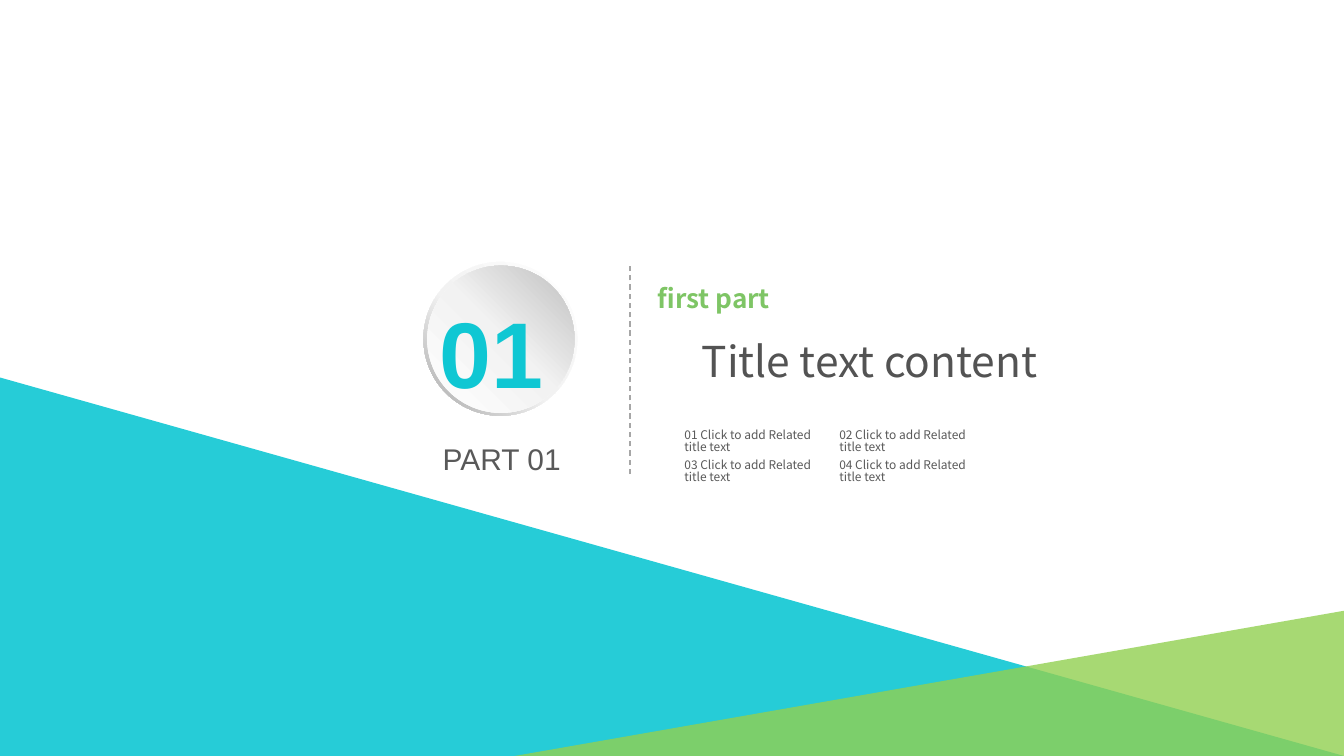
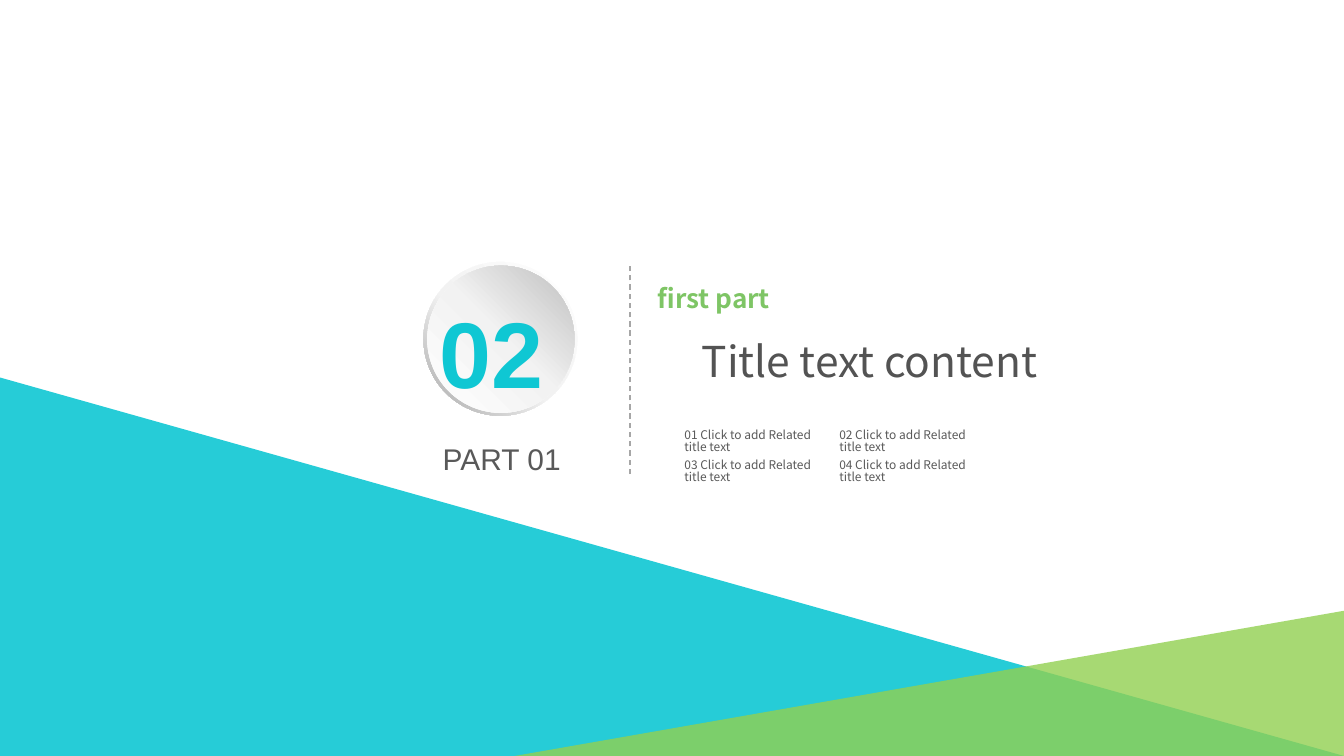
import pptx
import pptx.dml.color
import pptx.enum.dml
import pptx.enum.shapes
import pptx.enum.text
import pptx.oxml.ns
import pptx.util
from lxml import etree

Inches = pptx.util.Inches
WIDTH, HEIGHT = 14.06, 7.91
LATIN, BODY = "Arial", "Noto Sans CJK SC"
CYAN, LIME, GREEN = "0FC7D3", "92D050", "7EC565"
DARK, GREY, RULE = "535353", "595959", "A6A6A6"


def rgb(value):
    return pptx.dml.color.RGBColor.from_string(value)


def add_xml(parent, tag, **attributes):
    return etree.SubElement(parent, pptx.oxml.ns.qn(tag), attributes)


def write_text(shape, text, size, font, color, bold=False, insets=(0, 0), spacing=1.0):
    frame = shape.text_frame
    frame.word_wrap = True
    frame.auto_size = pptx.enum.text.MSO_AUTO_SIZE.NONE
    frame.vertical_anchor = pptx.enum.text.MSO_ANCHOR.TOP
    frame.margin_left = frame.margin_right = Inches(insets[0])
    frame.margin_top = frame.margin_bottom = Inches(insets[1])
    paragraph = frame.paragraphs[0]
    paragraph.alignment = pptx.enum.text.PP_ALIGN.LEFT
    paragraph.line_spacing = spacing
    run = paragraph.add_run()
    run.text = text
    run.font.size = pptx.util.Pt(size)
    run.font.name = font
    run.font.bold = bold
    run.font.color.rgb = rgb(color)


def add_text(slide, box, text, size, font, color, **style):
    shape = slide.shapes.add_textbox(*map(Inches, box))
    write_text(shape, text, size, font, color, **style)


def set_title(slide, box, text):
    title = slide.shapes.title
    title.left, title.top, title.width, title.height = map(Inches, box)
    write_text(title, text, 32, BODY, DARK)


def add_triangle(slide, corners, color, opacity):
    points = [(Inches(x), Inches(y)) for x, y in corners]
    builder = slide.shapes.build_freeform(*points[0])
    builder.add_line_segments(points[1:], close=True)
    shape = builder.convert_to_shape()
    shape.shadow.inherit = False
    shape.line.fill.background()
    shape.fill.solid()
    shape.fill.fore_color.rgb = rgb(color)
    color_element = shape._element.spPr.find(".//" + pptx.oxml.ns.qn("a:srgbClr"))
    add_xml(color_element, "a:alpha", val=str(opacity * 1000))


def add_gradient_shape(group, kind, left, top, size, stops, angle):
    shape = group.shapes.add_shape(kind, *map(Inches, (left, top, size, size)))
    shape.shadow.inherit = False
    shape.line.fill.background()
    shape.fill.gradient()
    shape.fill.gradient_angle = angle
    stop_list = shape._element.spPr.find(".//" + pptx.oxml.ns.qn("a:gsLst"))
    for stop in list(stop_list):
        stop_list.remove(stop)
    for position, color in stops:
        stop = add_xml(stop_list, "a:gs", pos=str(position * 1000))
        add_xml(stop, "a:srgbClr", val=color)
    return shape


def add_badge(slide, number):
    kinds = pptx.enum.shapes.MSO_SHAPE
    group = slide.shapes.add_group_shape()
    ring = add_gradient_shape(group, kinds.DONUT, 4.43, 2.74, 1.61,
                              [(0, "FFFFFF"), (55, "F2F2F2"), (100, "A6A6A6")], 225)
    ring.adjustments[0] = 0.05
    add_gradient_shape(group, kinds.OVAL, 4.47, 2.78, 1.54,
                       [(0, "FFFFFF"), (51, "F2F2F2"), (100, "BFBFBF")], 45)
    add_text(slide, (4.6, 3.09, 1.39, 1.18), number, 70.3, LATIN, CYAN, bold=True)


def add_divider(slide, x, top, bottom):
    line = slide.shapes.add_connector(pptx.enum.shapes.MSO_CONNECTOR.STRAIGHT,
                                      *map(Inches, (x, bottom, x, top)))
    line.line.color.rgb = rgb(RULE)
    line.line.width = pptx.util.Pt(1)
    line.line.dash_style = pptx.enum.dml.MSO_LINE.DASH
    add_xml(line._element.spPr, "a:effectLst")


def add_topics(slide):
    for index in range(4):
        row, column = divmod(index, 2)
        box = (7.07 + 1.62 * column, 4.45 + 0.31 * row, 1.64, 0.4)
        add_text(slide, box, f"{index + 1:02} Click to add Related title text",
                 9, BODY, GREY, insets=(0.09, 0.05), spacing=0.83)


def add_section_slide(presentation, number):
    slide = presentation.slides.add_slide(presentation.slide_layouts[5])
    add_triangle(slide, [(0, 3.95), (WIDTH, HEIGHT), (0, HEIGHT)], CYAN, 90)
    add_triangle(slide, [(WIDTH, 6.39), (5.38, HEIGHT), (WIDTH, HEIGHT)], LIME, 80)
    add_text(slide, (6.88, 2.95, 4, 0.4), "first part", 19.7, BODY, GREEN, bold=True)
    set_title(slide, (7.34, 3.5, 4.2, 0.65), "Title text content")
    add_divider(slide, 6.59, 2.78, 4.96)
    add_text(slide, (4.63, 4.61, 1.39, 0.38), "PART 01", 22.5, LATIN, GREY)
    add_badge(slide, number)
    add_topics(slide)


def main():
    presentation = pptx.Presentation()
    presentation.slide_width = Inches(WIDTH)
    presentation.slide_height = Inches(HEIGHT)
    for number in ("01", "02"):
        add_section_slide(presentation, number)
    presentation.save("out.pptx")


if __name__ == "__main__":
    main()
